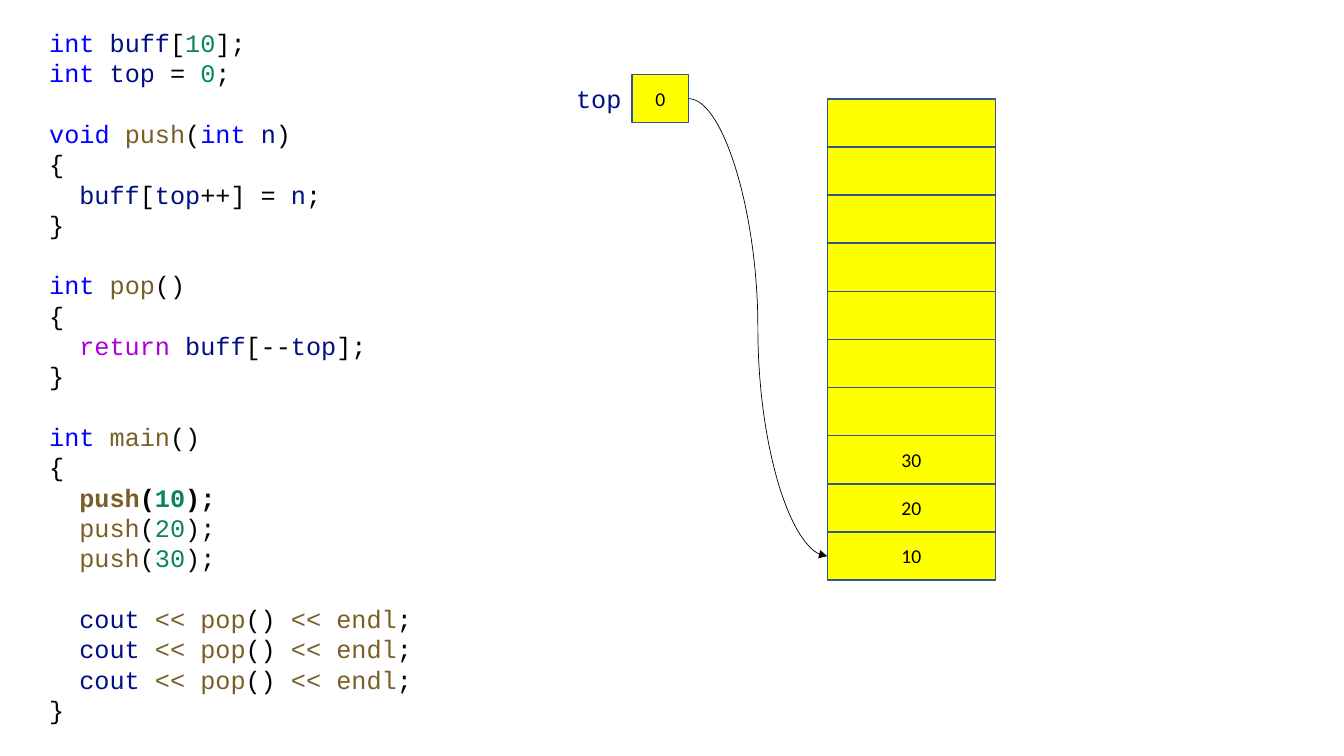
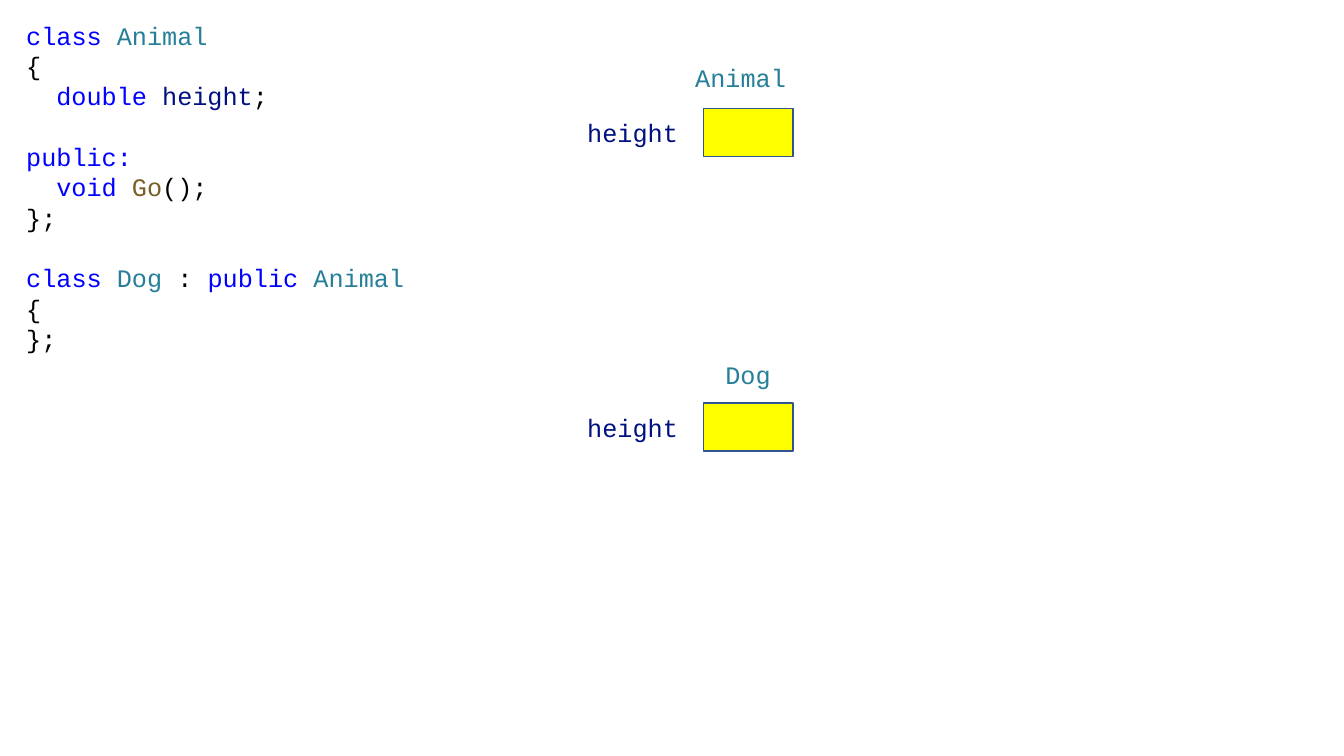
from itertools import groupby

from lxml import etree
from pptx import Presentation
from pptx.dml.color import RGBColor
from pptx.enum.shapes import MSO_CONNECTOR, MSO_SHAPE
from pptx.enum.text import MSO_ANCHOR, MSO_AUTO_SIZE, PP_ALIGN
from pptx.oxml.ns import qn
from pptx.util import Cm, Pt

RECT = MSO_SHAPE.RECTANGLE
CURVE = MSO_CONNECTOR.CURVE
CENTER = PP_ALIGN.CENTER
MIDDLE = MSO_ANCHOR.MIDDLE
FIT_SHAPE = MSO_AUTO_SIZE.SHAPE_TO_FIT_TEXT
RIGHT_SITE, LEFT_SITE = 3, 1

COLORS = {
    "black": "000000", "cell": "FFFF00", "border": "325491",
    "keyword": "0000FF", "control": "AF00DB", "function": "795E26",
    "variable": "001080", "type": "267F99", "number": "098658",
}

# Syntax colouring: words of each kind
SYNTAX = {
    "keyword": "int void class double public public:",
    "control": "return",
    "function": "push pop main endl Go <<",
    "variable": "buff top n cout height",
    "type": "Animal Dog",
}
KINDS = {word: kind for kind, words in SYNTAX.items() for word in words.split()}

STACK_CODE = """\
int buff[10];
int top = 0;

void push(int n)
{
  buff[top++] = n;
}

int pop()
{
  return buff[--top];
}

int main()
{
  push(10);
  push(20);
  push(30);

  cout << pop() << endl;
  cout << pop() << endl;
  cout << pop() << endl;
}"""

CLASS_CODE = """\
class Animal
{
  double height;

public:
  void Go();
};

class Dog : public Animal
{
};"""


def rgb(name):
    return RGBColor.from_string(COLORS[name])


def add_text(p, text, font="Calibri", size=14, color="black", bold=False):
    r = p.add_run()
    r.text = text
    r.font.name, r.font.size, r.font.bold = font, Pt(size), bold
    r.font.color.rgb = rgb(color)


def char_class(c):
    if c.isalnum() or c == ":":
        return "word"
    return "shift" if c == "<" else "other"


def tokens(line):
    """Yield each piece of a code line with its colour name."""
    for _, chars in groupby(line, char_class):
        word = "".join(chars)
        yield word, "number" if word.isdigit() else KINDS.get(word, "black")


class Deck:
    code_font, code_size = "Courier New", 18
    line_height = Pt(21.65)
    indent = Cm(0.76)

    def __init__(self):
        self.prs = Presentation()
        self.prs.slide_width, self.prs.slide_height = Cm(33.87), Cm(19.05)
        self.s = None

    def slide(self):
        self.s = self.prs.slides.add_slide(self.prs.slide_layouts[6])

    def code(self, text, x, y, w, h, wrap=True, bold_line=None):
        sp = self.s.shapes.add_textbox(Cm(x), Cm(y), Cm(w), Cm(h))
        tf = sp.text_frame
        tf.word_wrap, tf.auto_size = wrap, FIT_SHAPE
        p, gap = tf.paragraphs[0], False
        for line in text.splitlines():
            if not line:
                gap = True
                continue
            if p.runs:
                p = tf.add_paragraph()
            p.line_spacing = self.line_height
            if gap:
                p.space_before, gap = self.line_height, False
            code = line.strip()
            if code != line:
                p._p.get_or_add_pPr().set("marL", str(int(self.indent)))
            for word, color in tokens(code):
                add_text(p, word, font=self.code_font, size=self.code_size,
                         color=color, bold=code == bold_line)

    def label(self, text, x, y, w):
        self.code(text, x, y, w, 1.03, wrap=False)

    def cell(self, x, y, w, h=1.21, text=""):
        sp = self.s.shapes.add_shape(RECT, Cm(x), Cm(y), Cm(w), Cm(h))
        sp.shadow.inherit = False
        sp.fill.solid()
        sp.fill.fore_color.rgb = rgb("cell")
        sp.line.color.rgb = rgb("border")
        sp.line.width = Pt(1)
        if text:
            tf = sp.text_frame
            tf.vertical_anchor = MIDDLE
            p = tf.paragraphs[0]
            p.alignment = CENTER
            add_text(p, text)
        return sp

    def pointer(self, start, end):
        line = self.s.shapes.add_connector(CURVE, 0, 0, 0, 0)
        line.begin_connect(start, RIGHT_SITE)
        line.end_connect(end, LEFT_SITE)
        line.line.color.rgb = rgb("black")
        line.line.width = Pt(0.5)
        etree.SubElement(line.line._get_or_add_ln(), qn("a:tailEnd"), type="triangle")
        etree.SubElement(line._element.spPr, qn("a:effectLst"))


deck = Deck()

# Slide 1: stack in an array
deck.slide()
deck.code(STACK_CODE, 0.99, 0.56, 13.28, 17.96, bold_line="push(10);")
stack_top, stack_height = 2.49, 12.13
values = [""] * 7 + ["30", "20", "10"]
cell_height = stack_height / len(values)
for i, value in enumerate(values):
    bottom = deck.cell(20.85, stack_top + i * cell_height, 4.24, cell_height, value)
top_cell = deck.cell(15.93, 1.88, 1.42, text="0")
deck.label("top", 14.27, 1.98, 1.65)
deck.pointer(top_cell, bottom)

# Slide 2: inherited member
deck.slide()
deck.code(CLASS_CODE, 0.41, 0.38, 11.89, 8.71)
for name, x, y, w, cell_y in (("Animal", 17.27, 1.45, 2.82, 2.74),
                              ("Dog", 18.03, 8.94, 1.65, 10.16)):
    deck.cell(17.73, cell_y, 2.26)
    deck.label("height", 14.55, cell_y + 0.1, 2.82)
    deck.label(name, x, y, w)

deck.prs.save("out.pptx")
